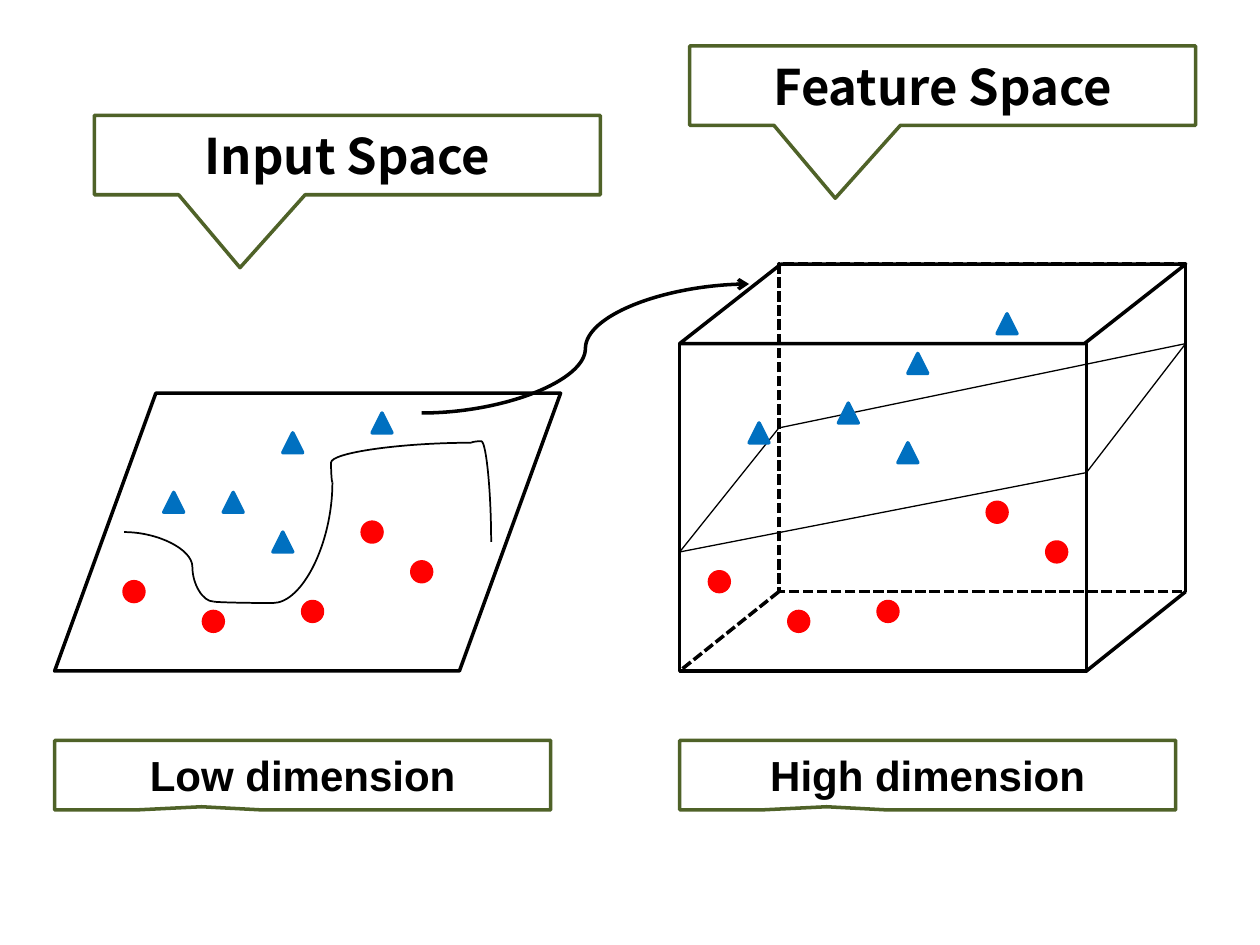
import pptx
import pptx.util
import pptx.dml.color
import pptx.enum.dml
import pptx.enum.shapes
import pptx.enum.text
import pptx.oxml.ns
from lxml import etree

SHAPE = pptx.enum.shapes.MSO_SHAPE
CONNECTOR = pptx.enum.shapes.MSO_CONNECTOR
DASH = pptx.enum.dml.MSO_LINE.SQUARE_DOT
qn = pptx.oxml.ns.qn

CELL = 1 / 12.7
LEFT, TOP = 0.04, 0.05
BLACK, BLUE, RED, GREEN = "000000", "0070C0", "FF0000", "4F6228"

heading = dict(font="Noto Sans CJK KR", size=28)
caption = dict(font="Arial", size=24)
heading_tip, caption_tip = (-0.212, 1.419), (-0.204, 0.455)
callouts = [
    ("Input Space", (9, 11, 51, 8), heading_tip, heading),
    ("Feature Space", (69, 4, 51, 8), heading_tip, heading),
    ("Low dimension", (5, 74, 50, 7), caption_tip, caption),
    ("High dimension", (68, 74, 50, 7), caption_tip, caption),
]

markers = [
    (SHAPE.ISOSCELES_TRIANGLE, BLUE, [
        (16, 49), (22, 49), (28, 43), (37, 41), (27, 53),
        (75, 42), (84, 40), (90, 44), (91, 35), (100, 31)]),
    (SHAPE.OVAL, RED, [
        (12, 58), (20, 61), (30, 60), (36, 52), (41, 56),
        (71, 57), (79, 61), (88, 60), (99, 50), (105, 54)]),
]

input_plane = (5, 39, 51, 28)
cube_lid = (68, 26, 51, 8)
cube_front = (68, 34, 41, 33)
cube_back = (78, 26, 41, 33)
cube_edges = [
    ((78, 59), (68, 67), DASH),
    ((119, 59), (109, 67), None),
    ((119, 26), (119, 59), None),
]
separating_plane = [(68, 55), (78, 42.5), (119, 34), (109, 47)]

boundary = [
    ((12, 53), (21, 60), 0, 0.765),
    ((33, 60), (21, 48), 90, -0.013),
    ((33, 48), (47, 44), 0, -0.01),
    ((53, 48), (43, 50), 270, -0.016),
]
mapping = ((42, 41), (75, 28), 0, 0.5)


def color(value):
    return pptx.dml.color.RGBColor.from_string(value)


def place(column, row):
    return (pptx.util.Inches(LEFT + column * CELL),
            pptx.util.Inches(TOP + row * CELL))


def style_line(line, ink, width, dash=None):
    line.color.rgb = color(ink)
    line.width = pptx.util.Pt(width)
    if dash:
        line.dash_style = dash


def draw_shape(kind, box, ink, fill=None, dash=None):
    column, row, columns, rows = box
    shape = slide.shapes.add_shape(
        kind, *place(column, row),
        pptx.util.Inches(columns * CELL), pptx.util.Inches(rows * CELL))
    shape.shadow.inherit = False
    if fill:
        shape.fill.solid()
        shape.fill.fore_color.rgb = color(fill)
    else:
        shape.fill.background()
    style_line(shape.line, ink, 2, dash)
    return shape


def draw_connector(kind, start, end, width, dash=None):
    connector = slide.shapes.add_connector(kind, *place(*start), *place(*end))
    style_line(connector.line, BLACK, width, dash)
    etree.SubElement(connector._element.spPr, qn("a:effectLst"))
    return connector


def draw_curve(start, end, turn, bend, width):
    curve = draw_connector(CONNECTOR.CURVE, start, end, width)
    properties = curve._element.spPr
    if turn:
        properties.find(qn("a:xfrm")).set("rot", str(turn * 60000))
    guides = properties.find(qn("a:prstGeom")).find(qn("a:avLst"))
    etree.SubElement(guides, qn("a:gd"), name="adj1",
                     fmla=f"val {round(bend * 100000)}")
    return curve


def write(shape, text, font, size):
    frame = shape.text_frame
    frame.word_wrap = True
    frame.vertical_anchor = pptx.enum.text.MSO_ANCHOR.MIDDLE
    paragraph = frame.paragraphs[0]
    paragraph.alignment = pptx.enum.text.PP_ALIGN.CENTER
    run = paragraph.add_run()
    run.text = text
    run.font.name = font
    run.font.size = pptx.util.Pt(size)
    run.font.bold = True
    run.font.color.rgb = color(BLACK)


deck = pptx.Presentation()
deck.slide_width = pptx.util.Inches(10)
deck.slide_height = pptx.util.Inches(7.5)
slide = deck.slides.add_slide(deck.slide_layouts[6])

draw_shape(SHAPE.FLOWCHART_DATA, input_plane, BLACK)
for start, end, turn, bend in boundary:
    draw_curve(start, end, turn, bend, 1)

draw_shape(SHAPE.FLOWCHART_DATA, cube_lid, BLACK)
draw_shape(SHAPE.RECTANGLE, cube_front, BLACK)
draw_shape(SHAPE.RECTANGLE, cube_back, BLACK, dash=DASH)
for start, end, dash in cube_edges:
    draw_connector(CONNECTOR.STRAIGHT, start, end, 2, dash)
for start, end in zip(separating_plane, separating_plane[1:] + separating_plane[:1]):
    draw_connector(CONNECTOR.STRAIGHT, start, end, 0.75)

arrow = draw_curve(*mapping, 2)
etree.SubElement(arrow.line._get_or_add_ln(), qn("a:tailEnd"), type="arrow")

for kind, ink, cells in markers:
    for column, row in cells:
        draw_shape(kind, (column, row, 2, 2), ink, fill=ink)

for text, box, tip, look in callouts:
    callout = draw_shape(SHAPE.RECTANGULAR_CALLOUT, box, GREEN)
    callout.adjustments[0], callout.adjustments[1] = tip
    write(callout, text, **look)

deck.save("out.pptx")
